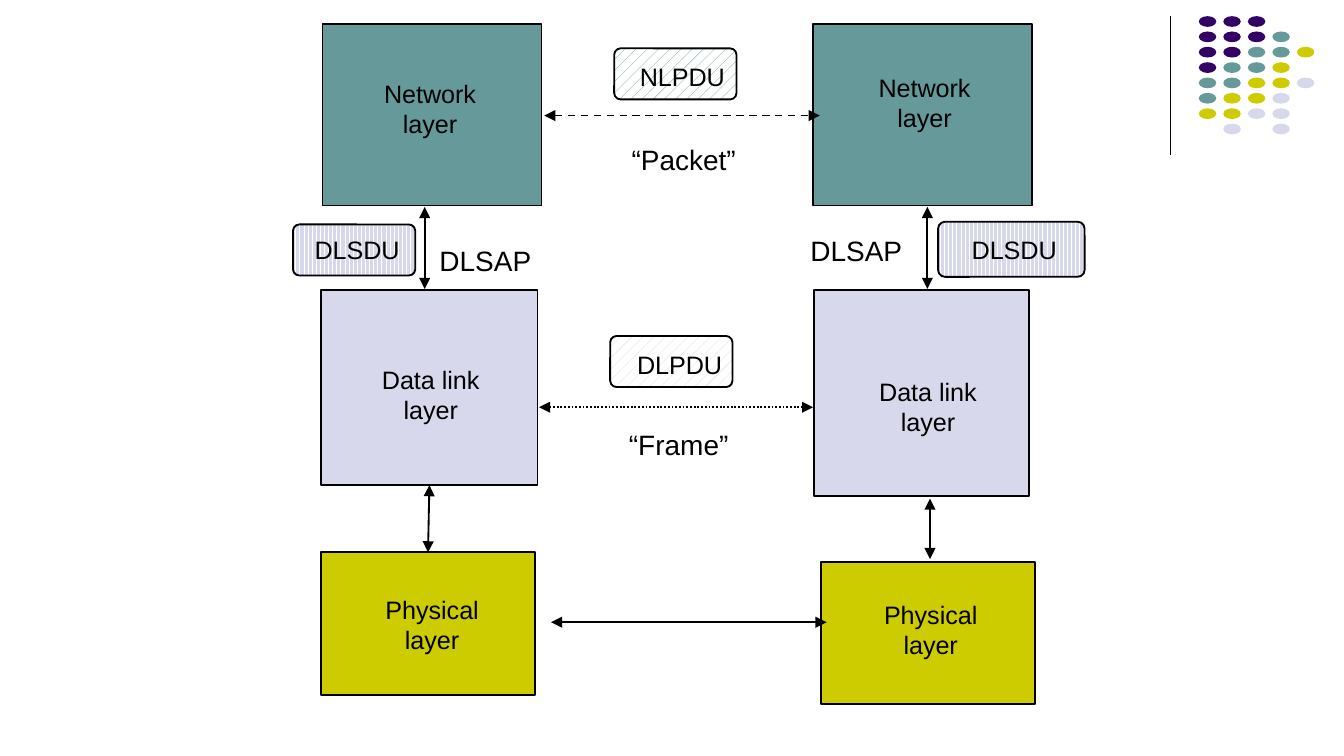
from lxml.etree import SubElement
from pptx import Presentation
from pptx.dml.color import RGBColor
from pptx.enum.dml import MSO_LINE, MSO_PATTERN
from pptx.enum.shapes import MSO_CONNECTOR, MSO_SHAPE
from pptx.enum.text import MSO_AUTO_SIZE, PP_ALIGN
from pptx.oxml.ns import qn
from pptx.util import Inches, Pt

COLORS = {
    "black": "000000",
    "white": "FFFFFF",
    "purple": "330066",
    "teal": "669999",
    "olive": "CCCC00",
    "lavender": "D8D8EC",
}
DOT_COLORS = {"P": "purple", "T": "teal", "O": "olive", "L": "lavender"}
DOT_ROWS = ["PPP", "PPPT", "PPTTO", "PTTO", "TTOOL", "TOOL", "OOLL", " L L"]


def rgb(name):
    return RGBColor.from_string(COLORS[name])


def write_text(shape, text, size=13.5, color="black", align=PP_ALIGN.LEFT, wrap=False):
    frame = shape.text_frame
    frame.word_wrap = wrap
    frame.auto_size = MSO_AUTO_SIZE.SHAPE_TO_FIT_TEXT
    frame.margin_left = frame.margin_right = Inches(0.07)
    frame.margin_top = frame.margin_bottom = Inches(0.04)
    frame.text = text
    for paragraph in frame.paragraphs:
        paragraph.alignment = align
        paragraph.font.name = "Arial"
        paragraph.font.size = Pt(size)
        paragraph.font.color.rgb = rgb(color)


class LayerDiagram:
    """Holds the current slide and the line style shared by its elements."""

    def __init__(self, slide, line_color="black", line_width=1):
        self.slide = slide
        self.line_color = line_color
        self.line_width = line_width

    def shape(self, kind, left, top, width, height, fill, pattern=None, outlined=True):
        shape = self.slide.shapes.add_shape(
            kind, Inches(left), Inches(top), Inches(width), Inches(height))
        shape.shadow.inherit = False
        if pattern:
            shape.fill.patterned()
            shape.fill.pattern = pattern
            shape.fill.back_color.rgb = rgb("white")
        else:
            shape.fill.solid()
        shape.fill.fore_color.rgb = rgb(fill)
        if outlined:
            shape.line.color.rgb = rgb(self.line_color)
            shape.line.width = Pt(self.line_width)
        else:
            shape.line.fill.background()
        return shape

    def box(self, *place, fill):
        return self.shape(MSO_SHAPE.RECTANGLE, *place, fill)

    def data_unit(self, *place, fill, pattern):
        unit = self.shape(MSO_SHAPE.ROUNDED_RECTANGLE, *place, fill, pattern)
        unit.adjustments[0] = 0.125

    def label(self, text, left, top, width, height, **style):
        shape = self.slide.shapes.add_textbox(
            Inches(left), Inches(top), Inches(width), Inches(height))
        write_text(shape, text, **style)

    def line(self, start, end, width=None, dash=None, arrows=True):
        line = self.slide.shapes.add_connector(
            MSO_CONNECTOR.STRAIGHT, *map(Inches, start + end))
        line.line.color.rgb = rgb(self.line_color)
        line.line.width = Pt(width or self.line_width)
        if dash:
            line.line.dash_style = dash
        if arrows:
            outline = line.line._get_or_add_ln()
            for tag in ("a:headEnd", "a:tailEnd"):
                SubElement(outline, qn(tag), type="triangle")
        SubElement(line._element.spPr, qn("a:effectLst"))
        return line

    def dot_pattern(self, left, top, column_step, row_step):
        for row, codes in enumerate(DOT_ROWS):
            for column, code in enumerate(codes):
                if code in DOT_COLORS:
                    self.shape(MSO_SHAPE.OVAL, left + column * column_step,
                               top + row * row_step, 0.13, 0.08,
                               DOT_COLORS[code], outlined=False)


def main():
    presentation = Presentation()
    presentation.slide_width = Inches(10)
    presentation.slide_height = presentation.slide_width * 9 // 16
    slide = presentation.slides.add_slide(presentation.slide_layouts[6])
    diagram = LayerDiagram(slide)

    diagram.line((8.71, 0.12), (8.71, 1.15), width=0.75, arrows=False)
    diagram.dot_pattern(8.92, 0.12, 0.73 / 4, 0.8 / 7)

    diagram.box(2.4, 0.18, 1.63, 1.35, fill="teal")
    diagram.box(6.05, 0.18, 1.63, 1.35, fill="teal")
    left_data_link = diagram.box(2.39, 2.16, 1.61, 1.45, fill="lavender")
    diagram.box(6.06, 2.16, 1.6, 1.53, fill="lavender")
    left_physical = diagram.box(2.39, 4.11, 1.59, 1.06, fill="olive")
    diagram.box(6.11, 4.18, 1.59, 1.06, fill="olive")

    for name, width, places in [
        ("Network", 0.84, [(2.78, 0.54), (6.46, 0.5)]),
        ("Data link", 0.89, [(2.76, 2.67), (6.46, 2.76)]),
        ("Physical", 0.85, [(2.79, 4.38), (6.5, 4.42)]),
    ]:
        for left, top in places:
            diagram.label(f"{name}\nlayer", left, top, width, 0.53, align=PP_ALIGN.CENTER)

    for start, end, dash in [
        ((3.16, 1.54), (3.16, 2.15), None),
        ((6.9, 1.54), (6.9, 2.15), None),
        ((6.92, 3.71), (6.92, 4.16), None),
        ((4.05, 0.86), (6.1, 0.86), MSO_LINE.DASH),
        ((4.01, 3.03), (6.05, 3.03), MSO_LINE.ROUND_DOT),
        ((4.1, 4.63), (6.15, 4.63), None),
    ]:
        diagram.line(start, end, dash=dash)
    left_link = diagram.line((3.19, 3.61), (3.19, 4.11))
    left_link.begin_connect(left_data_link, 2)
    left_link.end_connect(left_physical, 0)

    for text, place, text_place, fill, pattern in [
        ("DLSDU", (2.18, 1.67, 0.91, 0.38), (2.27, 1.7), "lavender", MSO_PATTERN.DARK_VERTICAL),
        ("DLSDU", (6.98, 1.65, 1.09, 0.41), (7.16, 1.7), "lavender", MSO_PATTERN.DARK_VERTICAL),
        ("DLPDU", (4.54, 2.5, 0.91, 0.38), (4.67, 2.56), "lavender", MSO_PATTERN.PERCENT_20),
        ("NLPDU", (4.57, 0.36, 0.91, 0.38), (4.69, 0.42), "teal", MSO_PATTERN.PERCENT_20),
    ]:
        diagram.data_unit(*place, fill=fill, pattern=pattern)
        diagram.label(text, *text_place, 0.79, 0.3)

    diagram.label("“Packet”", 4.63, 1.02, 0.93, 0.33, size=15)
    diagram.label("“Frame”", 4.61, 3.14, 0.93, 0.33, size=15, wrap=True)
    for left, top in [(3.2, 1.77), (5.96, 1.7)]:
        diagram.label("DLSAP", left, top, 0.84, 0.33, size=15)

    presentation.save("out.pptx")


if __name__ == "__main__":
    main()
